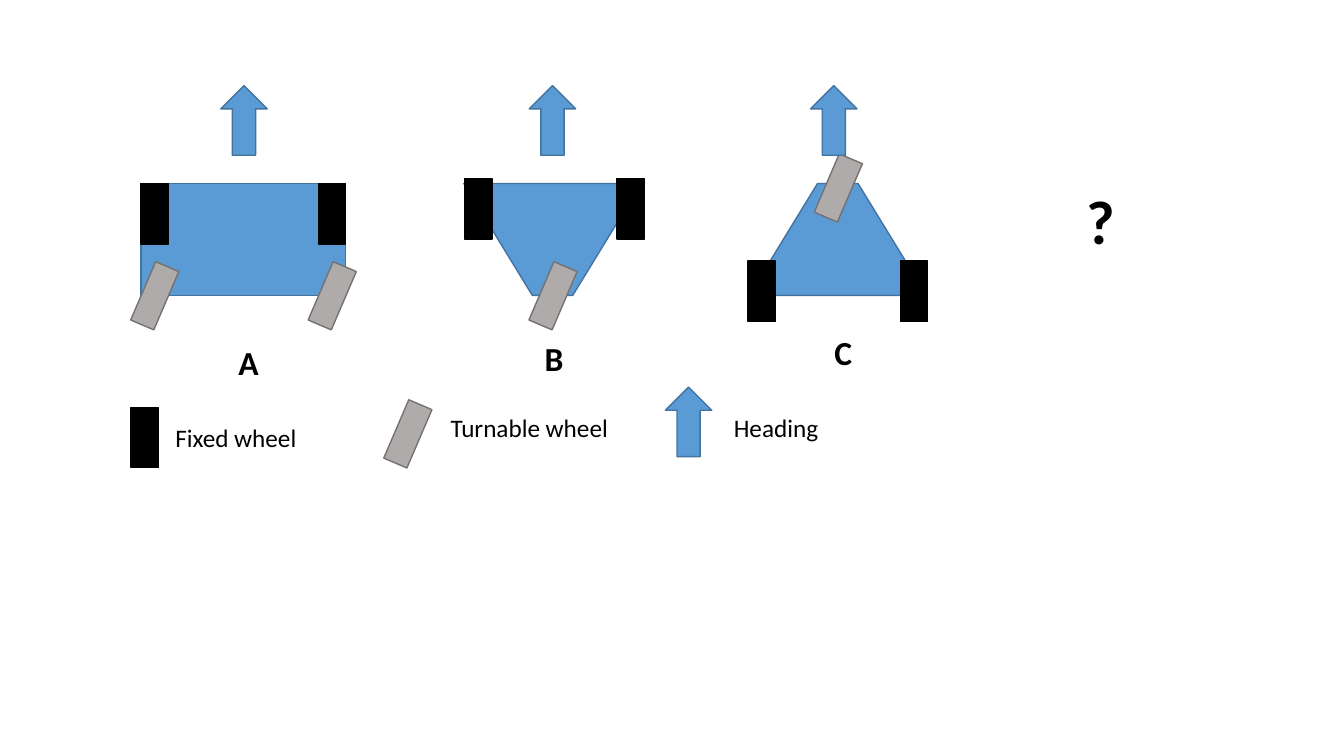
from pptx import Presentation
from pptx.dml.color import RGBColor
from pptx.enum.shapes import MSO_SHAPE
from pptx.enum.text import MSO_AUTO_SIZE, PP_ALIGN
from pptx.util import Inches, Pt


def colour(code):
    """Turn a hex string into a colour."""
    return RGBColor.from_string(code)


class RobotSlide:
    """Draws robot bases, wheels, headings and captions on one slide."""

    font = "Calibri"
    black = "000000"
    body_fill, body_line = "5B9BD5", "43739E"
    turnable_fill, turnable_line = "AFABAB", "767171"

    def __init__(self, slide):
        """Keep the slide to draw on."""
        self.slide = slide

    def shape(self, kind, left, top, width, height, fill, line):
        """Add a filled and outlined preset shape."""
        shape = self.slide.shapes.add_shape(
            kind, Inches(left), Inches(top), Inches(width), Inches(height))
        shape.shadow.inherit = False
        shape.fill.solid()
        shape.fill.fore_color.rgb = colour(fill)
        shape.line.color.rgb = colour(line)
        shape.line.width = Pt(1)
        return shape

    def body(self, kind, left, width, rotation=0):
        """Add the base of a robot."""
        base = self.shape(kind, left, 1.82, width, 1.11,
                          self.body_fill, self.body_line)
        if kind == MSO_SHAPE.TRAPEZOID:
            base.adjustments[0] = 0.612
        base.rotation = rotation

    def fixed_wheel(self, left, top):
        """Add an upright black wheel."""
        self.shape(MSO_SHAPE.RECTANGLE, left, top, 0.27, 0.6,
                   self.black, self.black)

    def turnable_wheel(self, left, top):
        """Add a tilted grey wheel."""
        wheel = self.shape(MSO_SHAPE.RECTANGLE, left, top, 0.25, 0.63,
                           self.turnable_fill, self.turnable_line)
        wheel.rotation = 23.2

    def heading(self, left, top):
        """Add an arrow pointing forward."""
        self.shape(MSO_SHAPE.UP_ARROW, left, top, 0.46, 0.69,
                   self.body_fill, self.body_line)

    def text(self, words, left, top, width, height, size,
             bold=False, align=PP_ALIGN.LEFT):
        """Add one line of text."""
        box = self.slide.shapes.add_textbox(
            Inches(left), Inches(top), Inches(width), Inches(height))
        frame = box.text_frame
        frame.word_wrap = True
        frame.auto_size = MSO_AUTO_SIZE.SHAPE_TO_FIT_TEXT
        paragraph = frame.paragraphs[0]
        paragraph.text = words
        paragraph.alignment = align
        paragraph.font.name = self.font
        paragraph.font.size = Pt(size)
        paragraph.font.bold = bold
        paragraph.font.color.rgb = colour(self.black)

    def mark(self, letter, left, top, height=0.5, size=24):
        """Add a bold centred letter or sign."""
        self.text(letter, left, top, 0.73, height, size, True, PP_ALIGN.CENTER)

    def robot(self, letter, letter_at, base, turnable, fixed, heading_left):
        """Add a whole robot with its wheels, heading and letter."""
        self.body(*base)
        for place in turnable:
            self.turnable_wheel(*place)
        for place in fixed:
            self.fixed_wheel(*place)
        self.heading(heading_left, 0.85)
        self.mark(letter, *letter_at)

    def legend(self, symbol, symbol_at, label, label_at, width):
        """Add a legend symbol with its label."""
        symbol(*symbol_at)
        self.text(label, *label_at, width, 0.4, 18)


def main():
    """Build and save the slide."""
    deck = Presentation()
    deck.slide_width, deck.slide_height = Inches(13.33), Inches(7.5)
    page = RobotSlide(deck.slides.add_slide(deck.slide_layouts[6]))

    page.robot("A", (2.1, 3.34), (MSO_SHAPE.RECTANGLE, 1.4, 2.03),
               [(1.41, 2.62), (3.17, 2.62)], [(1.4, 1.82), (3.16, 1.82)], 2.19)
    page.robot("B", (5.13, 3.3), (MSO_SHAPE.TRAPEZOID, 4.6, 1.76, 180),
               [(5.36, 2.62)], [(4.61, 1.77), (6.12, 1.77)], 5.25)
    page.robot("C", (8, 3.24), (MSO_SHAPE.TRAPEZOID, 7.43, 1.76),
               [(8.19, 1.55)], [(7.42, 2.59), (8.93, 2.59)], 8.04)
    page.mark("?", 10.55, 1.77, 0.84, 44)

    page.legend(page.fixed_wheel, (1.3, 4.04), "Fixed wheel", (1.64, 4.14), 1.66)
    page.legend(page.turnable_wheel, (3.92, 3.99),
                "Turnable wheel", (4.37, 4.04), 2.22)
    page.legend(page.heading, (6.6, 3.84), "Heading", (7.18, 4.04), 1.66)
    deck.save("out.pptx")


if __name__ == "__main__":
    main()
